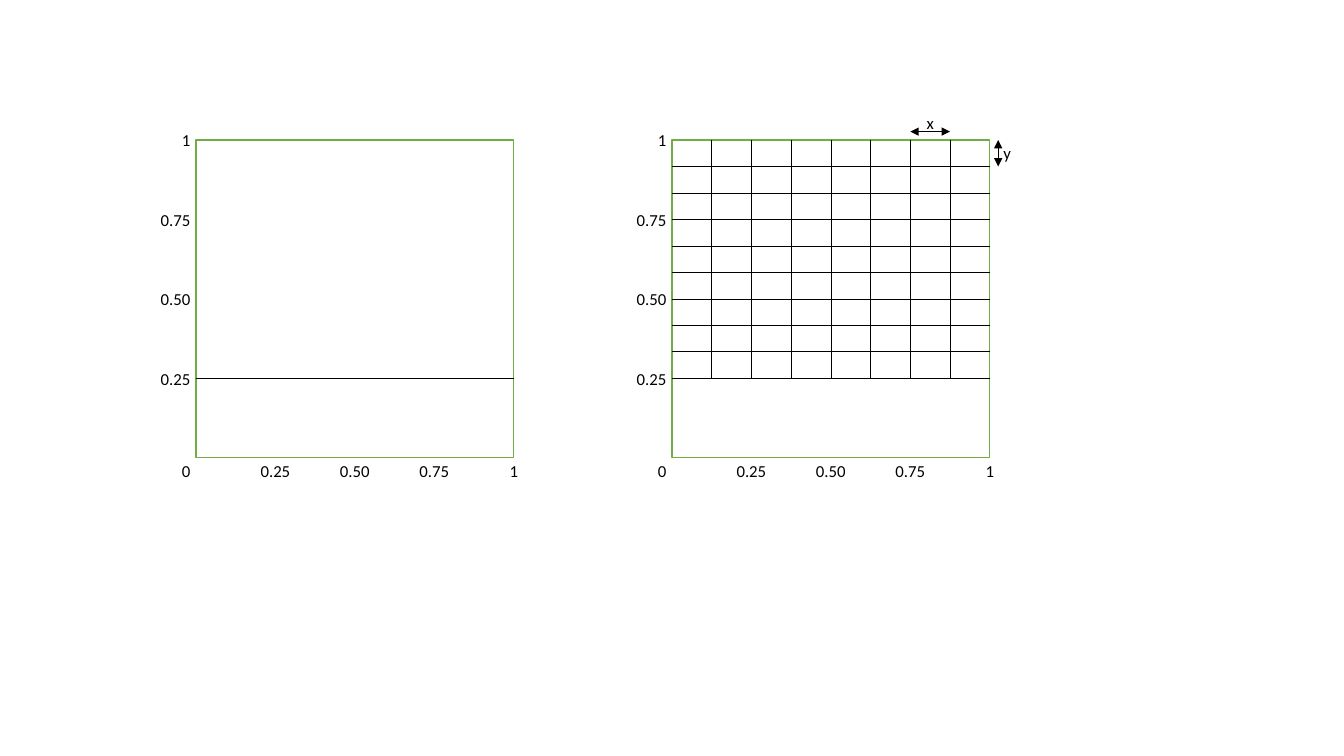
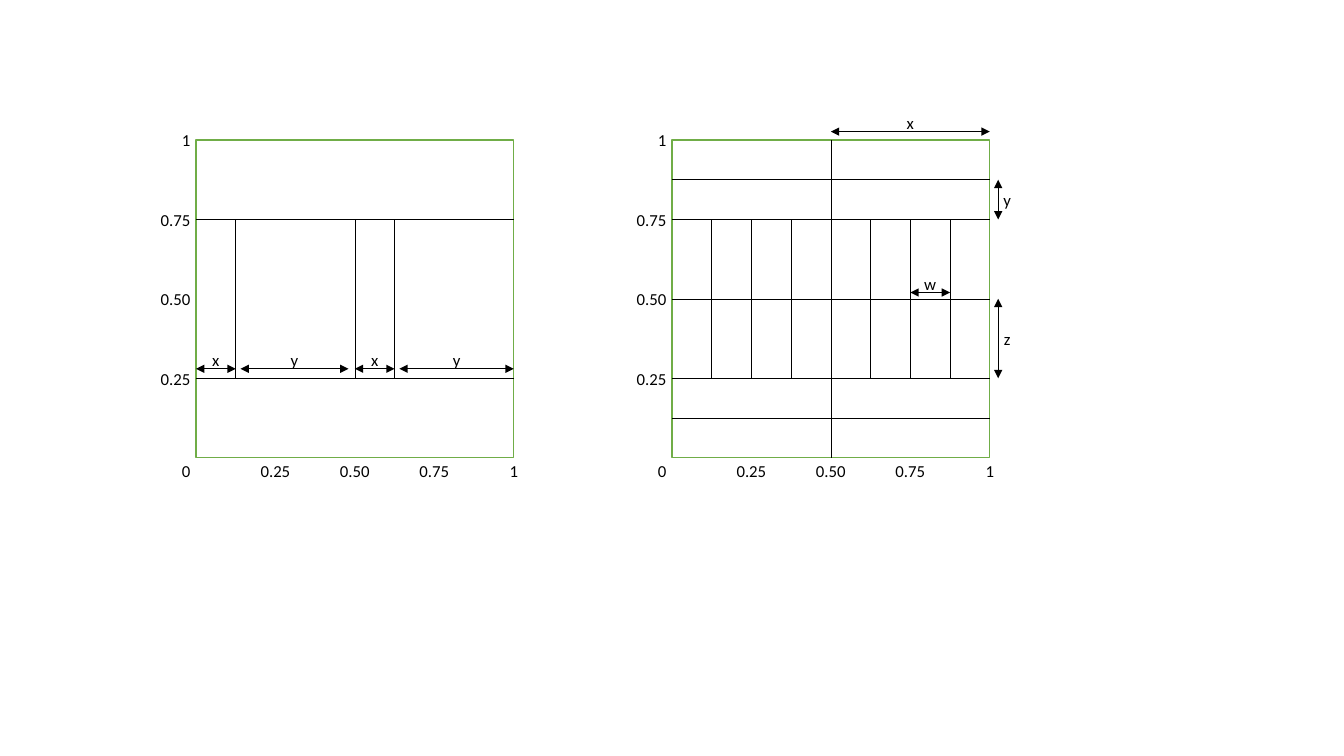
"""Build two slides of unit squares cut into bands and cells."""
from lxml import etree
from pptx import Presentation
from pptx.dml.color import RGBColor
from pptx.enum.shapes import MSO_CONNECTOR, MSO_SHAPE
from pptx.enum.text import MSO_ANCHOR, PP_ALIGN
from pptx.oxml.ns import qn
from pptx.util import Pt

BLACK = RGBColor(0x00, 0x00, 0x00)
WHITE = RGBColor(0xFF, 0xFF, 0xFF)
GREEN = RGBColor(0x70, 0xAD, 0x47)
RECT = MSO_SHAPE.RECTANGLE
STRAIGHT = MSO_CONNECTOR.STRAIGHT
MIDDLE = MSO_ANCHOR.MIDDLE
CENTER = PP_ALIGN.CENTER
RIGHT = PP_ALIGN.RIGHT

FONT = "Calibri"
LEFTS = (140, 480)
TOP = 100
SIDE = 227
GAP = 6 / SIDE
TICKS = ((0.25, "0.25"), (0.5, "0.50"), (0.75, "0.75"), (1, "1"))
JOINTS = {(0.5, 1): 0, (0, 0.5): 1, (0.5, 0): 2, (1, 0.5): 3}


def add_text(slide, text, x, y, width=28, height=20, size=12,
             color=BLACK, align=CENTER):
    box = slide.shapes.add_textbox(Pt(x - width / 2), Pt(y - height / 2),
                                   Pt(width), Pt(height))
    frame = box.text_frame
    frame.word_wrap = True
    frame.vertical_anchor = MIDDLE
    frame.margin_left = frame.margin_right = 0
    frame.margin_top = frame.margin_bottom = 0
    para = frame.paragraphs[0]
    para.alignment = align
    run = para.add_run()
    run.text = text
    run.font.name = FONT
    run.font.size = Pt(size)
    run.font.color.rgb = color


class Plot:
    def __init__(self, slide, left):
        self.slide = slide
        self.left = left
        self.square = slide.shapes.add_shape(RECT, Pt(left), Pt(TOP),
                                             Pt(SIDE), Pt(SIDE))
        self.square.shadow.inherit = False
        self.square.fill.solid()
        self.square.fill.fore_color.rgb = WHITE
        self.square.line.color.rgb = GREEN
        self.square.line.width = Pt(1)
        self.add_ticks()

    def place(self, x, y):
        return self.left + x * SIDE, TOP + (1 - y) * SIDE

    def add_ticks(self):
        base = TOP + SIDE + 9
        edge = self.left - 18
        add_text(self.slide, "0", edge, base, align=RIGHT)
        for value, label in TICKS:
            x, y = self.place(value, value)
            add_text(self.slide, label, edge, y, align=RIGHT)
            add_text(self.slide, label, x, base)

    def add_line(self, start, end, heads=False):
        ends = [Pt(v) for v in self.place(*start) + self.place(*end)]
        line = self.slide.shapes.add_connector(STRAIGHT, *ends)
        line.line.color.rgb = BLACK
        line.line.width = Pt(0.5)
        if heads:
            for tag in ("a:headEnd", "a:tailEnd"):
                etree.SubElement(line.line._ln, qn(tag), type="triangle")
        else:
            if start in JOINTS:
                line.begin_connect(self.square, JOINTS[start])
            if end in JOINTS:
                line.end_connect(self.square, JOINTS[end])
        etree.SubElement(line._element.spPr, qn("a:effectLst"))

    def add_rows(self, *levels):
        for y in levels:
            self.add_line((0, y), (1, y))

    def add_cols(self, *places, low=0.25, high=0.75):
        for x in places:
            self.add_line((x, high), (x, low))

    def span_x(self, text, start, end, y):
        self.add_line((start, y), (end, y), heads=True)
        x, mid = self.place((start + end) / 2, y)
        add_text(self.slide, text, x, mid - 6.5)

    def span_y(self, text, start, end, x=1 + GAP):
        self.add_line((x, start), (x, end), heads=True)
        mid, y = self.place(x, (start + end) / 2)
        add_text(self.slide, text, mid + 6.5, y)


def add_grid(slide):
    plain, grid = [Plot(slide, left) for left in LEFTS]
    plain.add_rows(0.25)
    grid.add_rows(*(k / 12 for k in range(3, 12)))
    grid.add_cols(*(k / 8 for k in range(1, 8)), high=1)
    grid.span_x("x", 3 / 4, 7 / 8, 1 + GAP)
    grid.span_y("y", 1, 11 / 12)


def add_bands(slide):
    strips, cells = [Plot(slide, left) for left in LEFTS]
    strips.add_rows(0.25, 0.75)
    strips.add_cols(1 / 8, 1 / 2, 5 / 8)
    for text, start, end in (("x", 0, 1 / 8), ("y", 0.14, 0.48),
                             ("x", 1 / 2, 5 / 8), ("y", 0.64, 1)):
        strips.span_x(text, start, end, 0.28)

    cells.add_rows(1 / 8, 1 / 4, 1 / 2, 3 / 4, 7 / 8)
    cells.add_cols(*(k / 8 for k in range(1, 8) if k != 4))
    cells.add_cols(1 / 2, low=0, high=1)
    cells.span_x("x", 1 / 2, 1, 1 + GAP)
    cells.span_x("w", 3 / 4, 7 / 8, 0.52)
    cells.span_y("y", 7 / 8, 3 / 4)
    cells.span_y("z", 1 / 2, 1 / 4)


def main():
    deck = Presentation()
    deck.slide_width = Pt(960)
    deck.slide_height = Pt(540)
    for build in (add_grid, add_bands):
        build(deck.slides.add_slide(deck.slide_layouts[6]))
    deck.save("out.pptx")


if __name__ == "__main__":
    main()
